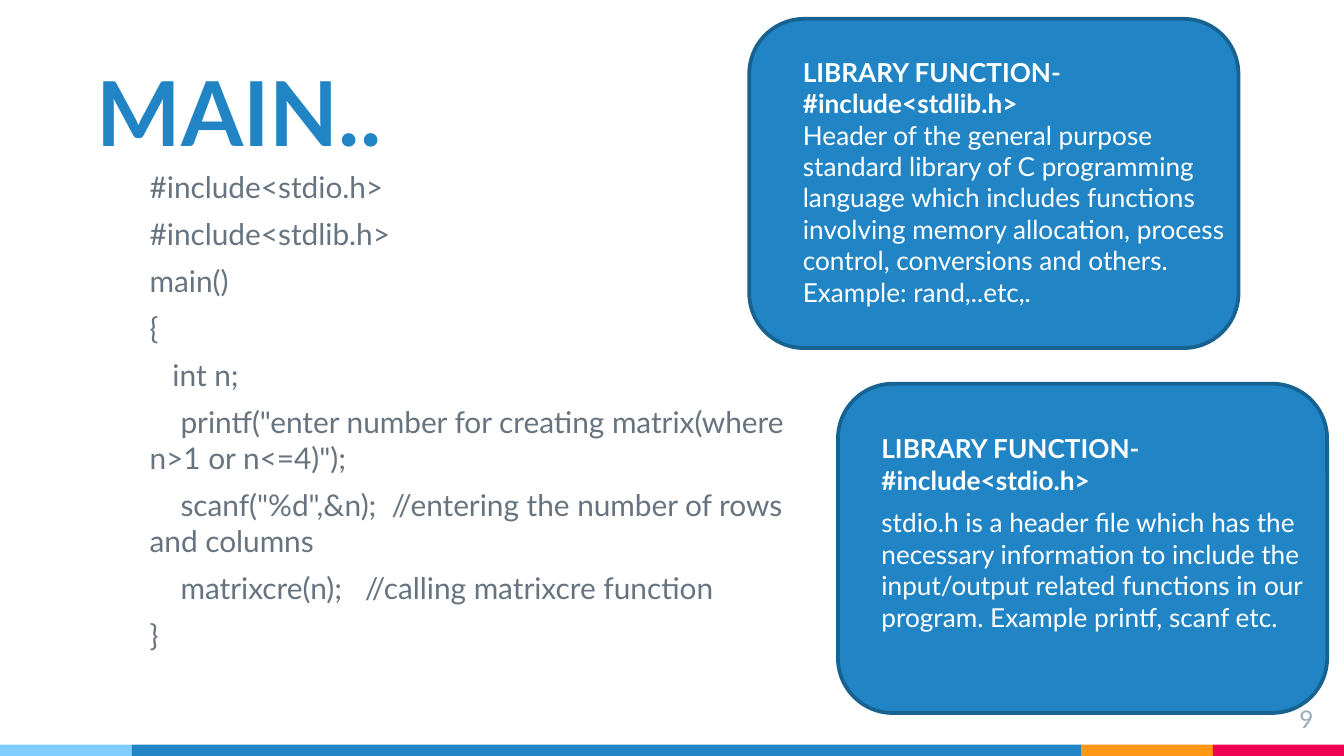
"""Build the slide on the main() function and its two library headers."""
from pptx import Presentation
from pptx.dml.color import RGBColor
from pptx.enum.shapes import MSO_SHAPE
from pptx.enum.text import PP_ALIGN
from pptx.util import Pt

PX = 4572
RECTANGLE, ROUNDED = MSO_SHAPE.RECTANGLE, MSO_SHAPE.ROUNDED_RECTANGLE
LEFT, RIGHT = PP_ALIGN.LEFT, PP_ALIGN.RIGHT
THEME = {
    "font": "Lato",
    "blue": "2185C5", "edge": "186292", "sky": "7ECEFD",
    "orange": "FF9715", "pink": "F20253",
    "code": "677480", "number": "97ABBC", "white": "FFFFFF",
    "title_size": 48, "code_size": 16, "card_size": 14, "number_size": 13,
}

deck = Presentation()
deck.slide_width, deck.slide_height = 2000 * PX, 1125 * PX
page = deck.slides.add_slide(deck.slide_layouts[6])


def add_block(kind, bounds, fill, edge=None):
    block = page.shapes.add_shape(kind, *(length * PX for length in bounds))
    block.shadow.inherit = False
    block.fill.solid()
    block.fill.fore_color.rgb = RGBColor.from_string(THEME[fill])
    if edge:
        block.line.color.rgb = RGBColor.from_string(THEME[edge])
        block.line.width = Pt(2)
    else:
        block.line.fill.background()


def add_text(bounds, lines, size, color, before=6, inset=20, align=LEFT):
    box = page.shapes.add_textbox(*(length * PX for length in bounds))
    frame = box.text_frame
    frame_format = {"word_wrap": True, "margin_top": inset * PX, "margin_bottom": inset * PX,
                    "margin_left": 20 * PX, "margin_right": 20 * PX}
    for name, value in frame_format.items():
        setattr(frame, name, value)
    for index, (text, bold, indent) in enumerate(lines):
        para = frame.add_paragraph() if index else frame.paragraphs[0]
        para.alignment = align
        para.space_before = Pt(before)
        if indent:
            para._p.get_or_add_pPr().set("indent", str(indent * PX))
        span = para.add_run()
        span.text = text
        span_format = {"name": THEME["font"], "size": Pt(THEME[size]), "bold": bold}
        for name, value in span_format.items():
            setattr(span.font, name, value)
        span.font.color.rgb = RGBColor.from_string(THEME[color])


stripe_left = 0
for width, fill in ((196, "sky"), (1413, "blue"), (196, "orange"), (195, "pink")):
    add_block(RECTANGLE, (stripe_left, 1108, width, 17), fill)
    stripe_left += width

add_text((124, 64, 1216, 210), [("MAIN..", True, 0)], "title_size", "blue")
add_text((1854, 1028, 120, 68), [("9", False, 0)], "number_size", "number",
         before=0, align=RIGHT)

code_lines = [
    ("#include<stdio.h>", 0),
    ("#include<stdlib.h>", 0),
    ("main()", 0),
    ("{", 0),
    ("int n;", 34),
    ('printf("enter number for creating matrix(where n>1 or n<=4)");', 46),
    ('scanf("%d",&n);  //entering the number of rows and columns', 46),
    ("matrixcre(n);   //calling matrixcre function", 46),
    ("}", 0),
]
add_text((203, 231, 1058, 846), [(text, False, indent) for text, indent in code_lines],
         "code_size", "code")

cards = [
    ((1247, 571), (1292, 624, 696, 356), 6, 20, "LIBRARY FUNCTION-#include<stdio.h>",
     "stdio.h is a header file which has the necessary information to include the "
     "input/output related functions in our program. Example printf, scanf etc."),
    ((1115, 28), (1175, 74, 682, 398), 0, 10, "LIBRARY FUNCTION-#include<stdlib.h>",
     "Header of the general purpose standard library of C programming language which "
     "includes functions involving memory allocation, process control, conversions and "
     "others. Example: rand,..etc,."),
]
for corner, bounds, before, inset, heading, body in cards:
    add_block(ROUNDED, (*corner, 728, 490), "blue", "edge")
    add_text(bounds, [(heading, True, 0), (body, False, 0)],
             "card_size", "white", before, inset)

deck.save("out.pptx")
